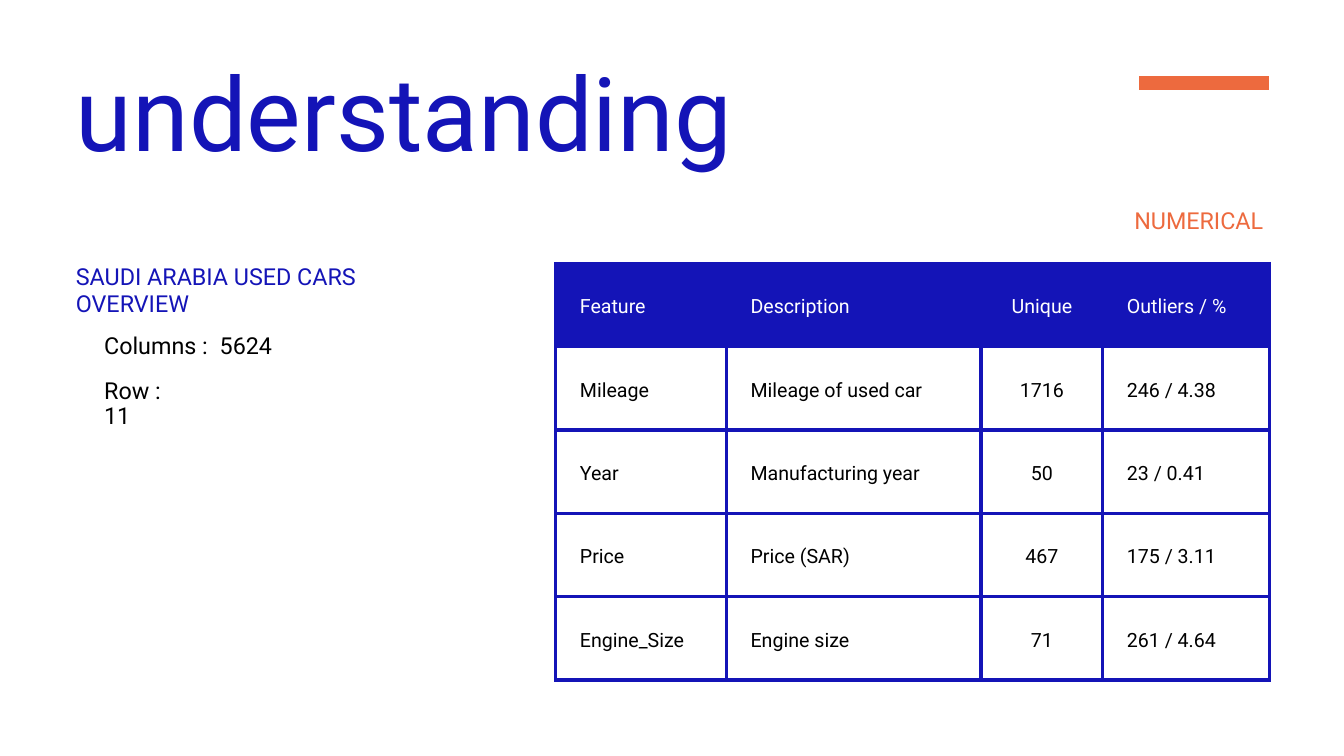
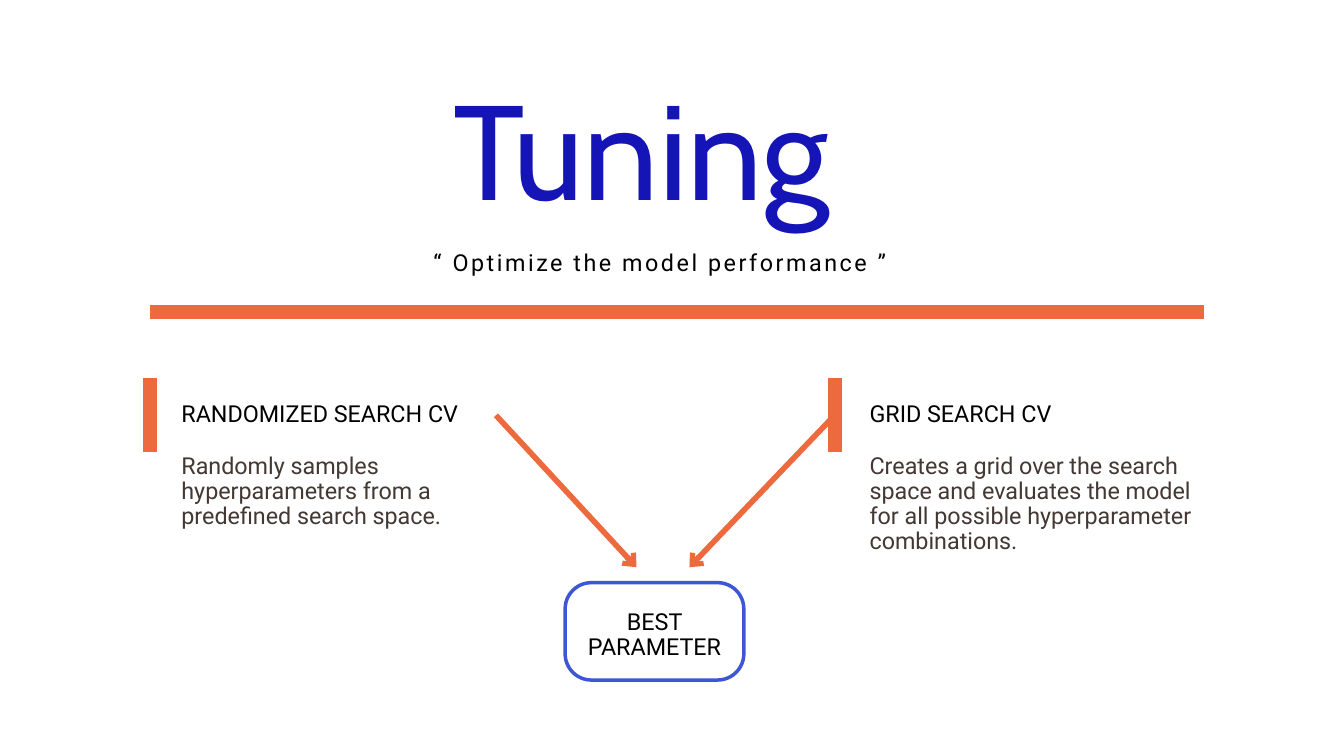
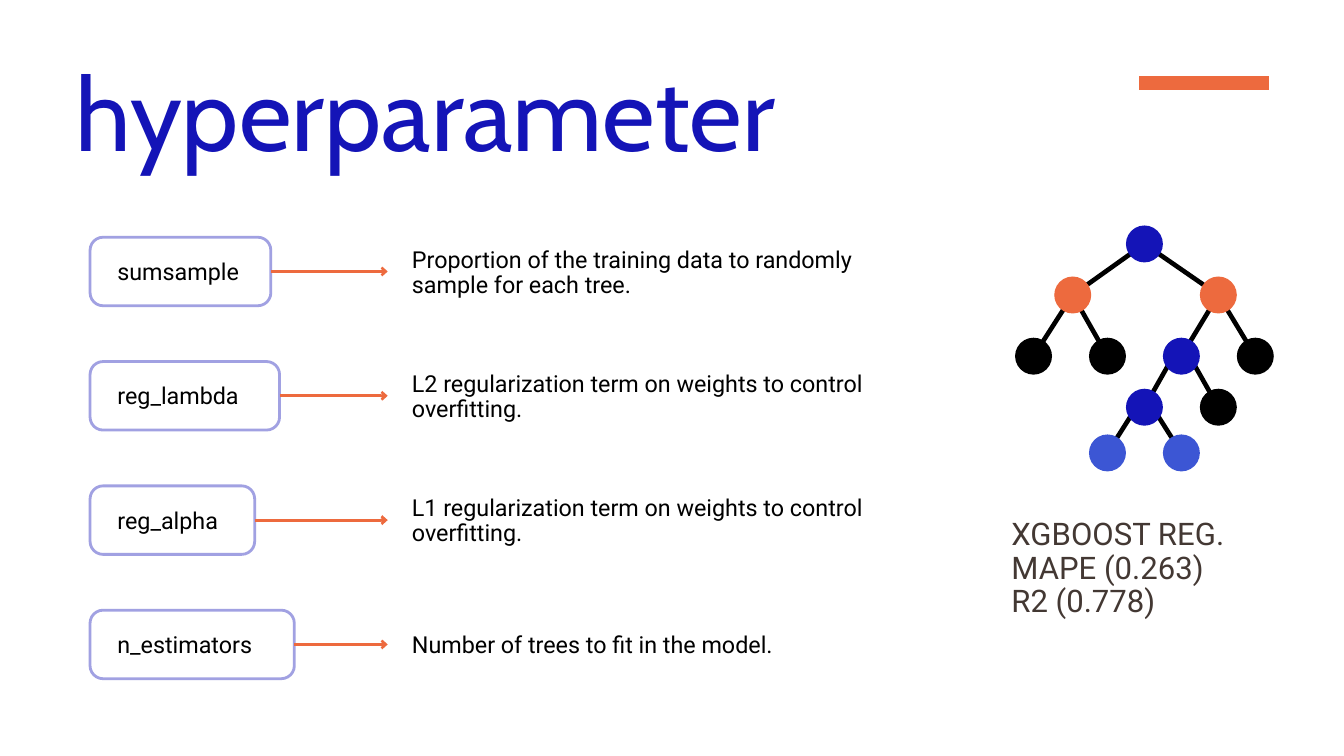
from lxml.etree import SubElement as Sub
from pptx import Presentation
from pptx.dml.color import RGBColor as Rgb
from pptx.enum.shapes import MSO_CONNECTOR as Link, MSO_SHAPE as Form
from pptx.enum.text import MSO_ANCHOR as Anchor, PP_ALIGN as Align
from pptx.oxml import parse_xml
from pptx.oxml.ns import nsdecls, qn
from pptx.util import Inches, Pt

INK = {
    "blue": "1414B7",
    "sky": "3C56D4",
    "coral": "ED6A3E",
    "brown": "433833",
    "black": "000000",
    "white": "FFFFFF",
}
COLS, ROWS = 20, 11.25
CELL = Inches(1)
LEFT, RIGHT = 1.13, 18.88
LEAD = 26.7


def grid(*spans):
    return [round(span * CELL) for span in spans]


def tint(name):
    return Rgb.from_string(INK[name])


def write(frame, words, size=25, font="Roboto", ink="black", lead=LEAD,
          align=Align.LEFT, anchor=Anchor.TOP, pads=(0, 0, 0, 0), gap=0, tab=0):
    frame.word_wrap = True
    frame.vertical_anchor = anchor
    (frame.margin_left, frame.margin_top,
     frame.margin_right, frame.margin_bottom) = grid(*pads)
    for at, row in enumerate(words.split("\n")):
        para = frame.add_paragraph() if at else frame.paragraphs[0]
        para.alignment = align
        para.line_spacing = Pt(lead)
        if tab:
            stops = Sub(para._p.get_or_add_pPr(), qn("a:tabLst"))
            Sub(stops, qn("a:tab"), pos=str(grid(tab)[0]), algn="l")
        run = para.add_run()
        run.text = row
        run.font.size = Pt(size)
        run.font.name = font
        run.font.color.rgb = tint(ink)
        if gap:
            run.font._element.set("spc", str(round(gap * 100)))


def text(slide, words, x, y, w, h, **style):
    write(slide.shapes.add_textbox(*grid(x, y, w, h)).text_frame, words, **style)


def line(slide, start, end, ink="coral", width=15, arrow=False, source=None):
    link = slide.shapes.add_connector(Link.STRAIGHT, *grid(*start, *end))
    if source is not None:
        link.begin_connect(source, 3)
    link.line.color.rgb = tint(ink)
    link.line.width = Pt(width)
    if arrow:
        Sub(link.line._get_or_add_ln(), qn("a:tailEnd"),
            type="arrow", w="med", len="sm")
    Sub(link._element.spPr, qn("a:effectLst"))


def shape(slide, form, x, y, w, h):
    item = slide.shapes.add_shape(form, *grid(x, y, w, h))
    item.shadow.inherit = False
    return item


def box(slide, words, x, y, w, h, curve, ink, width, alpha=100, **style):
    item = shape(slide, Form.ROUNDED_RECTANGLE, x, y, w, h)
    item.adjustments[0] = curve
    item.fill.background()
    item.line.color.rgb = tint(ink)
    item.line.width = Pt(width)
    if alpha < 100:
        color = item.line._get_or_add_ln().find(".//" + qn("a:srgbClr"))
        Sub(color, qn("a:alpha"), val=str(alpha * 1000))
    write(item.text_frame, words, anchor=Anchor.MIDDLE, **style)
    return item


def dot(slide, x, y, ink, size=0.55):
    item = shape(slide, Form.OVAL, x - size / 2, y - size / 2, size, size)
    item.fill.solid()
    item.fill.fore_color.rgb = tint(ink)
    item.line.fill.background()


def title(slide, words, font):
    line(slide, (RIGHT, 1.23), (16.95, 1.23))
    text(slide, words, LEFT, 1.2, 12.19, 1.46,
         size=110, font=font, ink="blue", lead=97.9)


def edge(cell, ink, width):
    props = cell._tc.get_or_add_tcPr()
    for at, side in enumerate("LRTB"):
        props.insert(at, parse_xml(
            f'<a:ln{side} {nsdecls("a")} w="{Pt(width)}"><a:solidFill>'
            f'<a:srgbClr val="{INK[ink]}"/></a:solidFill></a:ln{side}>'))


def table(slide, data, x, y, widths, high):
    frame = slide.shapes.add_table(
        len(data), len(widths), *grid(x, y, sum(widths), high * len(data)))
    body = frame.table
    body.first_row = body.horz_banding = False
    for col, width in zip(body.columns, grid(*widths)):
        col.width = width
    for r, items in enumerate(data):
        for c, words in enumerate(items):
            cell = body.cell(r, c)
            if r:
                cell.fill.background()
            else:
                cell.fill.solid()
                cell.fill.fore_color.rgb = tint("blue")
            edge(cell, "blue", 3.94)
            write(cell.text_frame, words, size=21, lead=29.4,
                  ink="black" if r else "white",
                  align=Align.CENTER if c == 2 else Align.LEFT)
            (cell.margin_left, cell.margin_top,
             cell.margin_right, cell.margin_bottom) = grid(*[0.36] * 4)
            cell.vertical_anchor = Anchor.MIDDLE


def tree(slide, x, step, levels, nodes):
    spots = [(x + col * step, levels[row]) for col, row, _, _ in nodes]
    for (left, top), (_, row, _, root) in zip(spots, nodes):
        if root is not None:
            from_x, from_y = spots[root]
            lean = 0.12 if row > 2 else 0
            from_x += lean if left > from_x else -lean
            line(slide, (from_x, from_y), (left, top), ink="black", width=5)
    for spot, (_, _, ink, _) in zip(spots, nodes):
        dot(slide, *spot, ink)


def data_page(slide):
    title(slide, "understanding", "Roboto")
    text(slide, "NUMERICAL", 16.88, 3.12, 2, 0.38, ink="coral")
    text(slide, "SAUDI ARABIA USED CARS\nOVERVIEW", LEFT, 3.92, 4.34, 0.8,
         ink="blue", lead=28.7)
    text(slide, "Columns :\t5624", 1.55, 4.97, 2.67, 0.39, tab=1.72)
    text(slide, "Row :\n11", 1.55, 5.64, 1.28, 0.39)
    table(slide, [
        ("Feature", "Description", "Unique", "Outliers / %"),
        ("Mileage", "Mileage of used car", "1716", "246 / 4.38"),
        ("Year", "Manufacturing year", "50", "23 / 0.41"),
        ("Price", "Price (SAR)", "467", "175 / 3.11"),
        ("Engine_Size", "Engine size", "71", "261 / 4.64"),
    ], 8.27, 3.92, (2.54, 3.79, 1.81, 2.48), 1.24)


def tune_page(slide):
    text(slide, "Tuning", 6.75, 1.53, 6.51, 1.99,
         size=144, font="Cabin", ink="blue", lead=133.9)
    text(slide, "“ Optimize the model performance ”", 6.45, 3.74, 7.09, 0.38,
         gap=2.75)
    line(slide, (17.92, 4.64), (2.23, 4.64))
    methods = [
        (2.23, 2.7, 4.93, 7.38, 9.47, "RANDOMIZED SEARCH CV",
         "Randomly samples hyperparameters from a predefined search space."),
        (12.42, 12.94, 5.11, 12.42, 10.26, "GRID SEARCH CV",
         "Creates a grid over the search space and evaluates the model "
         "for all possible hyperparameter combinations."),
    ]
    for bar, x, wide, tail, tip, name, note in methods:
        line(slide, (bar, 5.62), (bar, 6.73))
        text(slide, name, x, 5.98, 4.93, 0.38)
        text(slide, note, x, 6.76, wide, 1.47, ink="brown")
        line(slide, (tail, 6.18), (tip, 8.44), width=6, arrow=True)
    box(slide, "BEST PARAMETER", 8.41, 8.67, 2.66, 1.45, 0.27, "sky", 3.75,
        align=Align.CENTER, pads=(0.06, 0.18, 0.06, 0.06))


def param_page(slide):
    title(slide, "hyperparameter", "Cabin")
    params = [
        ("sumsample", 2.69,
         "Proportion of the training data to randomly sample for each tree."),
        ("reg_lambda", 2.82,
         "L2 regularization term on weights to control overfitting."),
        ("reg_alpha", 2.45,
         "L1 regularization term on weights to control overfitting."),
        ("n_estimators", 3.04, "Number of trees to fit in the model."),
    ]
    x, high = 1.34, 1.02
    for row, (name, wide, note) in enumerate(params):
        y = 3.53 + row * 1.85
        mid = y + high / 2
        item = box(slide, name, x, y, wide, high, 0.19, "blue", 3, alpha=40,
                   pads=(0.35, 0.04, 0, 0))
        line(slide, (x + wide, mid), (5.77, mid), width=3, arrow=True, source=item)
        text(slide, note, 6.13, y + 0.16, 7.19, 0.74, anchor=Anchor.MIDDLE)
    tree(slide, 15.38, 0.55, (3.63, 4.39, 5.3, 6.06, 6.74), [
        (3, 0, "blue", None),
        (1.06, 1, "coral", 0),
        (5, 1, "coral", 0),
        (0, 2, "black", 1),
        (2, 2, "black", 1),
        (4, 2, "blue", 2),
        (6, 2, "black", 2),
        (3, 3, "blue", 5),
        (5, 3, "black", 5),
        (2, 4, "sky", 7),
        (4, 4, "sky", 7),
    ])
    text(slide, "XGBOOST REG.", 15.05, 7.56, 3.91, 0.63,
         size=33.3, ink="brown", lead=46.6)
    text(slide, "MAPE (0.263)\nR2 (0.778)", 15.05, 8.22, 3.91, 0.99,
         size=33.3, ink="brown", lead=35.6)


def main():
    deck = Presentation()
    deck.slide_width, deck.slide_height = grid(COLS, ROWS)
    for page in (data_page, tune_page, param_page):
        page(deck.slides.add_slide(deck.slide_layouts[6]))
    deck.save("out.pptx")


if __name__ == "__main__":
    main()
